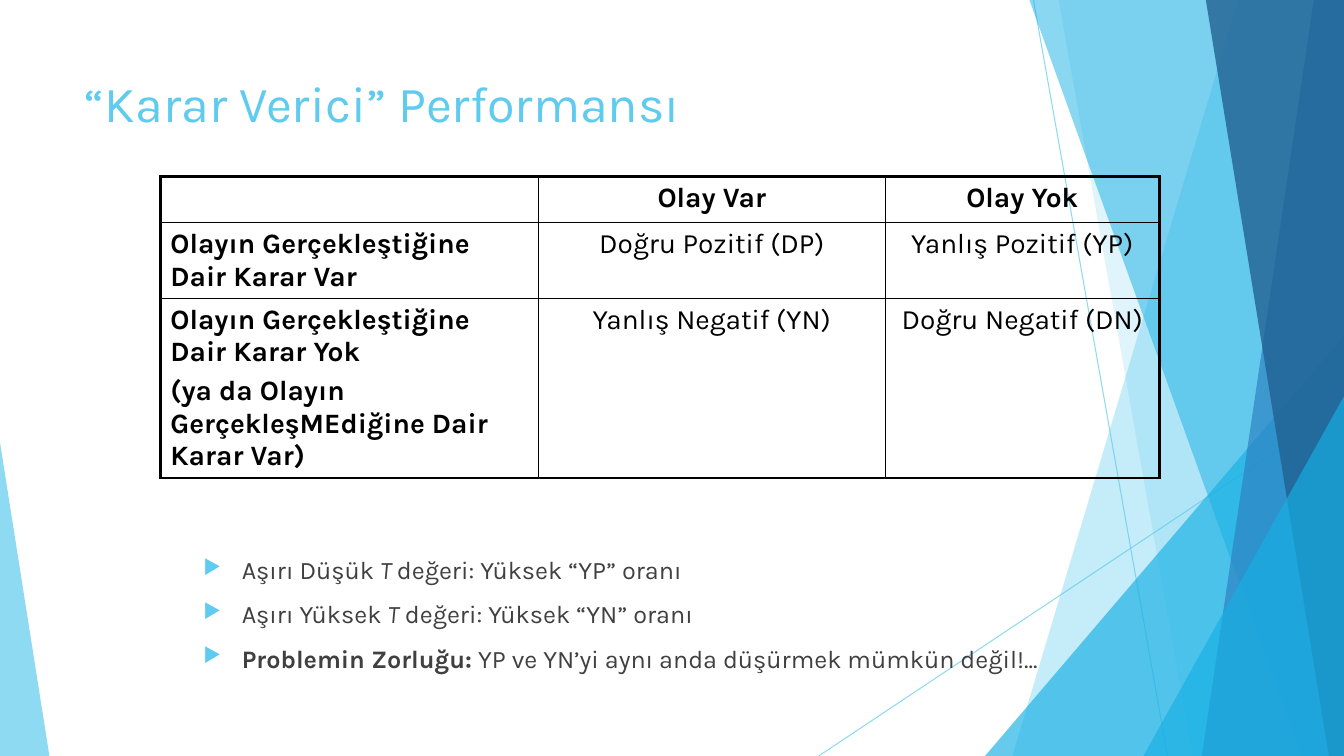
from lxml.etree import SubElement
from pptx import Presentation
from pptx.dml.color import RGBColor
from pptx.enum.shapes import MSO_CONNECTOR, MSO_SHAPE
from pptx.enum.text import MSO_ANCHOR, PP_ALIGN
from pptx.oxml.ns import qn
from pptx.util import Inches, Pt

FONT = "Karla"
WIDTH, HEIGHT = 13.33, 7.5
SKY, CYAN, BLUE, NAVY = "5FCBEF", "17B0E4", "2E83C3", "226292"
BLACK, GRAY = "000000", "404040"

COLUMNS = [3.75, 3.44, 2.72]
ROWS = [0.46, 0.75, 1.78]
CELLS = [
    [[], ["Olay Var"], ["Olay Yok"]],
    [["Olayın Gerçekleştiğine Dair Karar Var"],
     ["Doğru Pozitif (DP)"], ["Yanlış Pozitif (YP)"]],
    [["Olayın Gerçekleştiğine Dair Karar Yok",
      "(ya da Olayın GerçekleşMEdiğine Dair Karar Var)"],
     ["Yanlış Negatif (YN)"], ["Doğru Negatif (DN)"]],
]
BULLETS = [
    [("Aşırı Düşük ", ""), ("T ", "italic"), ("değeri: Yüksek “YP” oranı", "")],
    [("Aşırı Yüksek ", ""), ("T", "italic"), (" değeri: Yüksek “YN” oranı", "")],
    [("Problemin Zorluğu:", "bold"),
     (" YP ve YN’yi aynı anda düşürmek mümkün değil!...", "")],
]


def color(value):
    return RGBColor.from_string(value)


def set_font(font, size, value, bold=None):
    font.name = FONT
    font.size = Pt(size)
    font.color.rgb = color(value)
    font.bold = bold


def set_alpha(fill_parent, percent):
    tone = fill_parent.find(qn("a:solidFill"))[0]
    SubElement(tone, qn("a:alpha"), val=str(percent * 1000))


def paint(shape, value, opacity):
    shape.shadow.inherit = False
    shape.fill.solid()
    shape.fill.fore_color.rgb = color(value)
    shape.line.fill.background()
    set_alpha(shape._element.spPr, opacity)


def add_ray(page, start, end):
    ray = page.shapes.add_connector(
        MSO_CONNECTOR.STRAIGHT, *map(Inches, start + end))
    ray.line.color.rgb = color(SKY)
    ray.line.width = Pt(0.75)
    properties = ray._element.spPr
    set_alpha(properties.find(qn("a:ln")), 70)
    SubElement(properties, qn("a:effectLst"))


def add_band(page, top, bottom, value, opacity):
    builder = page.shapes.build_freeform(Inches(top), 0)
    corners = [(WIDTH, 0), (WIDTH, HEIGHT), (bottom, HEIGHT)]
    builder.add_line_segments([(Inches(x), Inches(y)) for x, y in corners])
    paint(builder.convert_to_shape(), value, opacity)


def add_corner(page, left, top, width, apex, value, opacity):
    corner = page.shapes.add_shape(
        MSO_SHAPE.ISOSCELES_TRIANGLE, Inches(left), Inches(top),
        Inches(width), Inches(HEIGHT - top))
    corner.adjustments[0] = apex
    paint(corner, value, opacity)


def add_facets(page):
    add_ray(page, (10.25, 0), (11.58, HEIGHT))
    add_ray(page, (WIDTH, 4.03), (8.12, HEIGHT))
    add_band(page, 12.28, 10.04, SKY, 36)
    add_band(page, 10.5, 11.83, SKY, 20)
    add_corner(page, 9.77, 3.33, 3.56, 1, CYAN, 66)
    add_band(page, 10.21, 12.91, CYAN, 50)
    add_band(page, 13.03, 11.92, BLUE, 70)
    add_band(page, 11.96, 13.18, NAVY, 80)
    add_corner(page, 11.34, 3.93, 1.99, 1, CYAN, 66)
    add_corner(page, 0, 4.39, 0.49, 0, SKY, 70)


def set_title(page, text):
    title = page.shapes.title
    title.left, title.top = Inches(0.74), Inches(0.67)
    title.width, title.height = Inches(9.4), Inches(1.44)
    frame = title.text_frame
    frame.text = text
    frame.vertical_anchor = MSO_ANCHOR.TOP
    para = frame.paragraphs[0]
    para.alignment = PP_ALIGN.LEFT
    set_font(para.font, 36, SKY)


def set_borders(cell, row, column):
    outer = {"L": column == 0, "R": column == len(COLUMNS) - 1,
             "T": row == 0, "B": row == len(ROWS) - 1}
    properties = cell._tc.get_or_add_tcPr()
    for side, is_outer in outer.items():
        width = Pt(2.25 if is_outer else 1)
        edge = SubElement(properties, qn(f"a:ln{side}"), w=str(width))
        fill = SubElement(edge, qn("a:solidFill"))
        SubElement(fill, qn("a:srgbClr"), val=BLACK)


def fill_cell(cell, texts, row, column):
    set_borders(cell, row, column)
    cell.fill.background()
    frame = cell.text_frame
    for index, text in enumerate(texts):
        para = frame.add_paragraph() if index else frame.paragraphs[0]
        para.text = text
        para.alignment = PP_ALIGN.CENTER if column else PP_ALIGN.LEFT
        if index:
            para.space_before = Pt(4)
        set_font(para.font, 20, BLACK, bold=row == 0 or column == 0)


def add_outcomes(page):
    table = page.shapes.add_table(
        len(ROWS), len(COLUMNS), Inches(1.59), Inches(1.75),
        Inches(sum(COLUMNS)), Inches(sum(ROWS))).table
    table.first_row = table.horz_banding = False
    for column, width in zip(table.columns, COLUMNS):
        column.width = Inches(width)
    for row, height in zip(table.rows, ROWS):
        row.height = Inches(height)
    for row, line in enumerate(CELLS):
        for column, texts in enumerate(line):
            fill_cell(table.cell(row, column), texts, row, column)


def set_bullet(para):
    properties = para._p.get_or_add_pPr()
    properties.set("marL", str(Inches(0.38)))
    properties.set("indent", str(Inches(-0.38)))
    tone = SubElement(properties, qn("a:buClr"))
    SubElement(tone, qn("a:srgbClr"), val=SKY)
    SubElement(properties, qn("a:buSzPct"), val="80000")
    SubElement(properties, qn("a:buChar"), char="▶")


def add_bullets(page):
    box = page.shapes.add_textbox(
        Inches(1.92), Inches(5.45), Inches(9.94), Inches(1.65))
    frame = box.text_frame
    frame.word_wrap = True
    for index, spans in enumerate(BULLETS):
        para = frame.add_paragraph() if index else frame.paragraphs[0]
        set_bullet(para)
        if index:
            para.space_before = Pt(10)
        set_font(para.font, 18, GRAY)
        for text, style in spans:
            span = para.add_run()
            span.text = text
            if style:
                setattr(span.font, style, True)


def main():
    deck = Presentation()
    deck.slide_width, deck.slide_height = Inches(WIDTH), Inches(HEIGHT)
    page = deck.slides.add_slide(deck.slide_layouts[5])
    add_facets(page)
    set_title(page, "“Karar Verici” Performansı")
    add_outcomes(page)
    add_bullets(page)
    deck.save("out.pptx")


if __name__ == "__main__":
    main()
